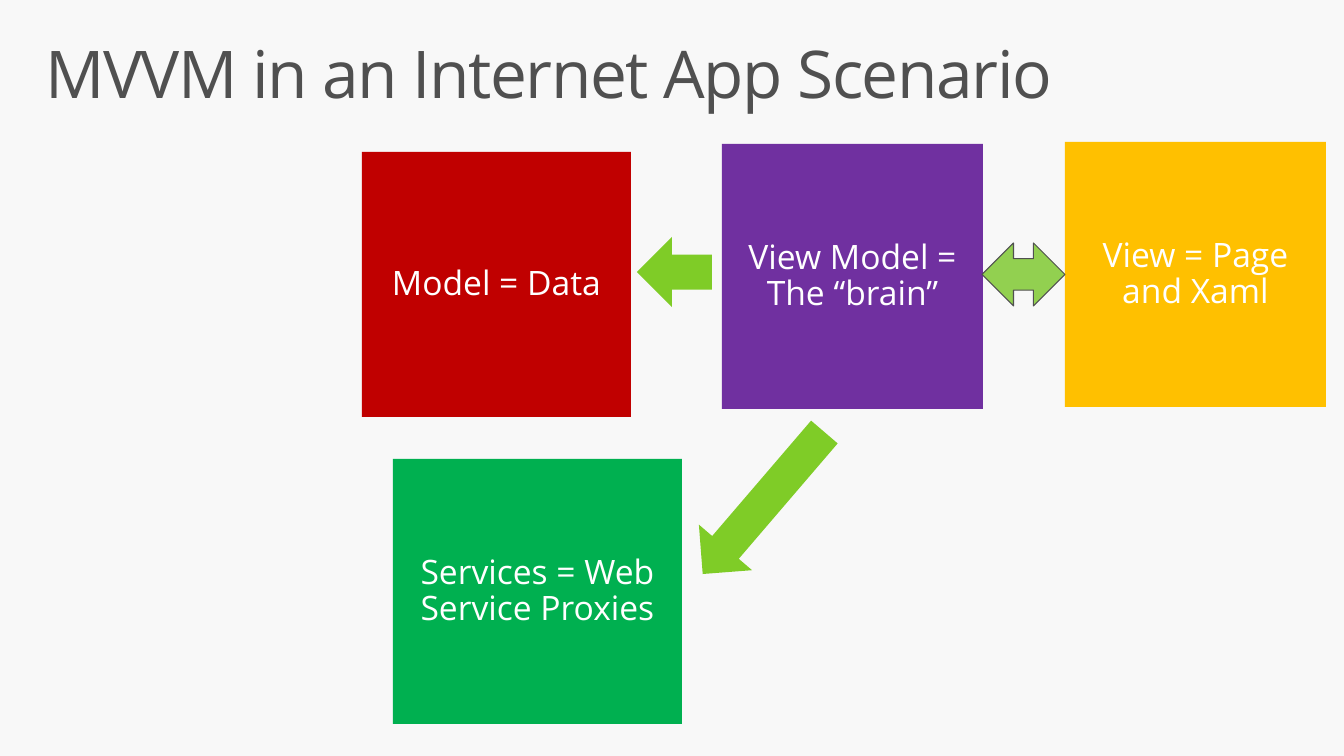
import dataclasses

import pptx
import pptx.dml.color
import pptx.enum.shapes
import pptx.enum.text
import pptx.util

SCALE = 914400 / 100.8  # EMU in one px
KIND = pptx.enum.shapes.MSO_SHAPE
ALIGN = pptx.enum.text.PP_ALIGN
ANCHOR = pptx.enum.text.MSO_ANCHOR


@dataclasses.dataclass
class Theme:
    font: str = "Open Sans"
    title: int = 47
    body: int = 24
    paper: str = "F8F8F8"
    ink: str = "505050"
    white: str = "FFFFFF"
    red: str = "C00000"
    purple: str = "7030A0"
    gold: str = "FFC000"
    green: str = "00B050"
    lime: str = "7FCC27"
    pale: str = "92D050"


theme = Theme()
rgb = pptx.dml.color.RGBColor.from_string


def px(n):
    return pptx.util.Emu(round(n * SCALE))


def write(shape, text, size, color, align, anchor, inset):
    frame = shape.text_frame
    frame.text = text
    frame.word_wrap = True
    frame.auto_size = pptx.enum.text.MSO_AUTO_SIZE.NONE
    frame.vertical_anchor = anchor
    frame.margin_left = frame.margin_right = px(inset[0])
    frame.margin_top = frame.margin_bottom = px(inset[1])
    para = frame.paragraphs[0]
    para.alignment = align
    para.line_spacing = 0.9
    font = para.runs[0].font
    font.name = theme.font
    font.size = pptx.util.Pt(size)
    font.color.rgb = rgb(color)
    return para.runs[0]


deck = pptx.Presentation()
deck.slide_width, deck.slide_height = px(1344), px(756)
slide = deck.slides.add_slide(deck.slide_layouts.get_by_name("Title Only"))
slide.background.fill.solid()
slide.background.fill.fore_color.rgb = rgb(theme.paper)

title = slide.shapes.title
title.left, title.top, title.width, title.height = map(px, (29, 32, 1285, 99))
run = write(title, "MVVM in an Internet App Scenario", theme.title, theme.ink,
            ALIGN.LEFT, ANCHOR.TOP, (16, 10))
run.font._element.set("spc", "-100")

# kind, left, top, width, height, turn, fill, line, text
parts = [
    (KIND.RECTANGLE, 362, 152, 269, 265, 0, theme.red, None, "Model = Data"),
    (KIND.RECTANGLE, 722, 144, 261, 265, 0, theme.purple, None,
     "View Model = The “brain”"),
    (KIND.RECTANGLE, 1065, 142, 261, 265, 0, theme.gold, None,
     "View = Page and Xaml"),
    (KIND.LEFT_RIGHT_ARROW, 982, 243, 83, 63, 0, theme.pale, theme.ink, ""),
    (KIND.RIGHT_ARROW, 670, 468, 187, 70, 130.6, theme.lime, None, ""),
    (KIND.RECTANGLE, 393, 459, 289, 265, 0, theme.green, None,
     "Services = Web Service Proxies"),
    (KIND.RIGHT_ARROW, 637, 237, 75, 70, 180, theme.lime, None, ""),
]
for kind, left, top, width, height, turn, fill, line, text in parts:
    shape = slide.shapes.add_shape(kind, *map(px, (left, top, width, height)))
    shape.shadow.inherit = False
    shape.rotation = turn
    shape.fill.solid()
    shape.fill.fore_color.rgb = rgb(fill)
    if line:
        shape.line.color.rgb = rgb(line)
        shape.line.width = pptx.util.Pt(0.75)
    else:
        shape.line.fill.background()
    if text:
        write(shape, text, theme.body, theme.white,
              ALIGN.CENTER, ANCHOR.MIDDLE, (20, 16))

deck.save("out.pptx")
